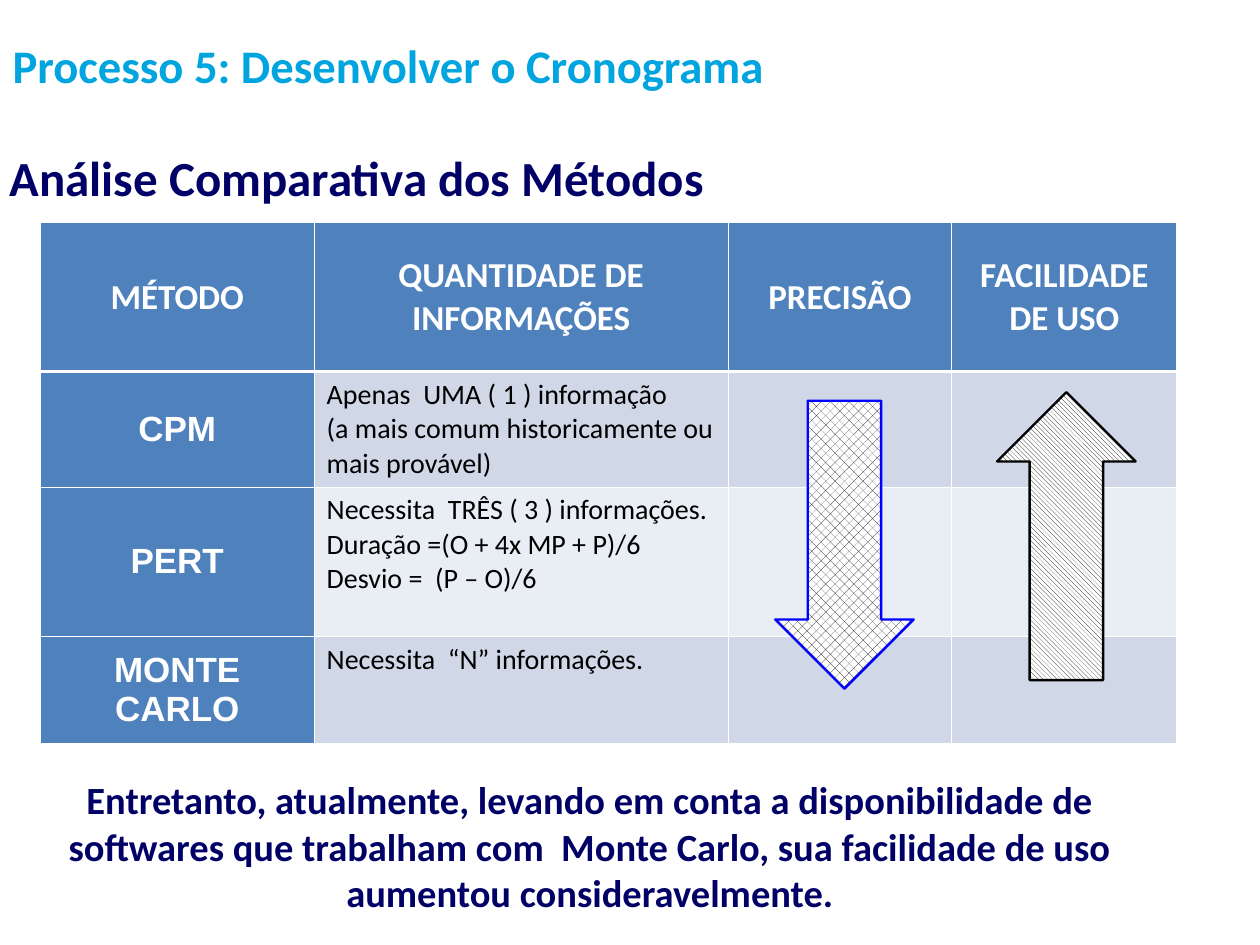
from dataclasses import dataclass

import pptx
import pptx.dml.color
import pptx.enum.dml
import pptx.enum.shapes
import pptx.enum.text
import pptx.oxml
import pptx.oxml.ns
import pptx.util

Cm = pptx.util.Cm
Pt = pptx.util.Pt
RGB = pptx.dml.color.RGBColor.from_string
Align = pptx.enum.text.PP_ALIGN
Anchor = pptx.enum.text.MSO_ANCHOR
Hatch = pptx.enum.dml.MSO_PATTERN


@dataclass
class Theme:
    sky: str = "00A4DE"
    navy: str = "000066"
    head: str = "4F81BD"
    odd: str = "D0D8E8"
    even: str = "E9EDF4"
    white: str = "FFFFFF"
    black: str = "000000"
    blue: str = "0000FF"
    title: int = 40
    sub: int = 42
    note: int = 33
    label: int = 30
    body: int = 24
    font: str = "Calibri"
    side: str = "Arial"


theme = Theme()


def style(frame, text, size, color, name=theme.font, bold=True, align=Align.LEFT):
    frame.text = text
    frame.word_wrap = True
    for par in frame.paragraphs:
        par.alignment = align
        form = {"size": Pt(size), "name": name, "bold": bold}
        for key, value in form.items():
            setattr(par.font, key, value)
        par.font.color.rgb = RGB(color)


def border(cell, widths):
    props = cell._tc.get_or_add_tcPr()
    for side, width in zip("LRTB", widths):
        props.append(pptx.oxml.parse_xml(
            f'<a:ln{side} {pptx.oxml.ns.nsdecls("a")} w="{Pt(width)}"><a:solidFill>'
            f'<a:srgbClr val="{theme.white}"/></a:solidFill></a:ln{side}>'))


deck = pptx.Presentation()
deck.slide_width, deck.slide_height = Cm(38.1), Cm(28.58)
slide = deck.slides.add_slide(deck.slide_layouts[6])
shapes = slide.shapes

texts = [
    ("Processo 5: Desenvolver o Cronograma", (0, 0.61, 34.37, 2.72),
     theme.title, theme.sky, Align.LEFT, Anchor.MIDDLE, (0.38, 0.19)),
    ("Análise Comparativa dos Métodos", (0.05, 4.27, 27.08, 1.8),
     theme.sub, theme.navy, Align.LEFT, Anchor.TOP, (0.25, 0.2)),
    ("Entretanto, atualmente, levando em conta a disponibilidade de softwares "
     "que trabalham com  Monte Carlo, sua facilidade de uso aumentou "
     "consideravelmente.", (0.1, 23.29, 35.48, 4.6),
     theme.note, theme.navy, Align.CENTER, Anchor.TOP, (0.38, 0.19)),
]
for text, place, size, color, align, anchor, (side, edge) in texts:
    frame = shapes.add_textbox(*map(Cm, place)).text_frame
    form = {"margin_left": Cm(side), "margin_right": Cm(side),
            "margin_top": Cm(edge), "margin_bottom": Cm(edge),
            "vertical_anchor": anchor}
    for key, value in form.items():
        setattr(frame, key, value)
    style(frame, text, size, color, align=align)

rows = [
    ("MÉTODO", "QUANTIDADE DE INFORMAÇÕES", "PRECISÃO", "FACILIDADE DE USO"),
    ("CPM", "Apenas  UMA ( 1 ) informação\n"
            "(a mais comum historicamente ou mais provável)", "", ""),
    ("PERT", "Necessita  TRÊS ( 3 ) informações.\n"
             "Duração =(O + 4x MP + P)/6\nDesvio =  (P – O)/6", "", ""),
    ("MONTE CARLO", "Necessita  “N” informações.", "", ""),
]
widths = (8.28, 12.52, 6.76, 6.81)
heights = (4.52, 3.48, 4.52, 3.23)
table = shapes.add_table(len(rows), len(widths), Cm(1.22), Cm(6.73),
                         Cm(sum(widths)), Cm(sum(heights))).table
for col, width in zip(table.columns, widths):
    col.width = Cm(width)
for row, height in zip(table.rows, heights):
    row.height = Cm(height)

for r, row in enumerate(rows):
    for c, text in enumerate(row):
        cell = table.cell(r, c)
        head = r == 0 or c == 0
        form = {"margin_left": Cm(0.38), "margin_right": Cm(0.38),
                "margin_top": Cm(0.19), "margin_bottom": Cm(0.19),
                "vertical_anchor": Anchor.MIDDLE if head else Anchor.TOP}
        for key, value in form.items():
            setattr(cell, key, value)
        border(cell, (1, 1, 3 if r == 1 else 1, 3 if r == 0 else 1))
        cell.fill.solid()
        band = theme.odd if r % 2 else theme.even
        cell.fill.fore_color.rgb = RGB(theme.head if head else band)
        if head:
            name = theme.side if r else theme.font
            style(cell.text_frame, text, theme.label, theme.white, name,
                  align=Align.CENTER)
        else:
            style(cell.text_frame, text, theme.body, theme.black, bold=False)

arrows = [
    (23.44, 12.12, 0, Hatch.PERCENT_25, theme.blue),
    (30.15, 11.86, 180, Hatch.WIDE_DOWNWARD_DIAGONAL, theme.black),
]
for left, top, turn, hatch, color in arrows:
    arrow = shapes.add_shape(pptx.enum.shapes.MSO_SHAPE.DOWN_ARROW,
                             Cm(left), Cm(top), Cm(4.19), Cm(8.71))
    arrow.adjustments[0] = 0.53
    arrow.adjustments[1] = 0.5
    arrow.rotation = turn
    arrow.shadow.inherit = False
    arrow.fill.patterned()
    arrow.fill.pattern = hatch
    arrow.fill.fore_color.rgb = RGB(theme.black)
    arrow.fill.back_color.rgb = RGB(theme.white)
    arrow.line.color.rgb = RGB(color)
    arrow.line.width = Pt(2)

deck.save("out.pptx")
